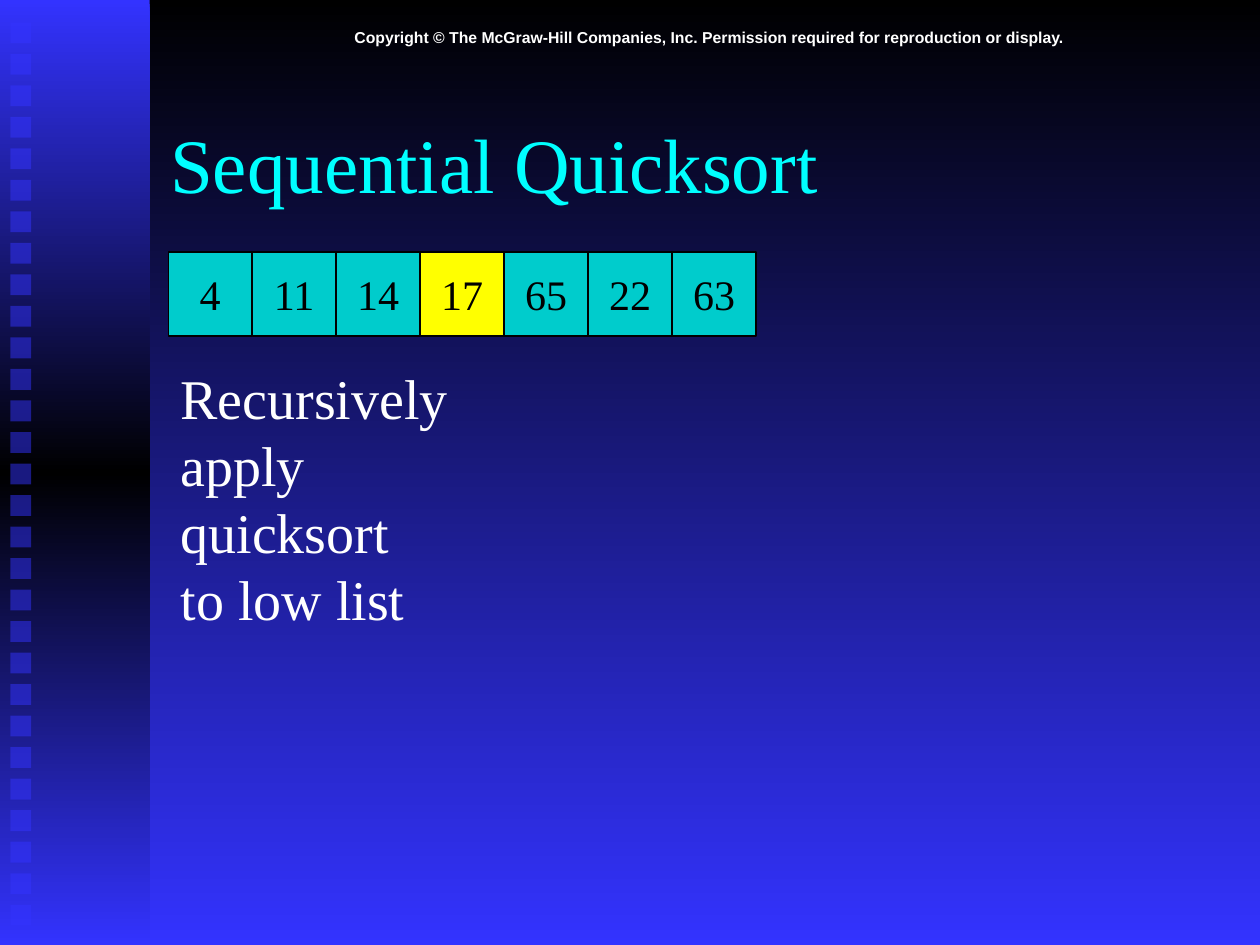
from copy import deepcopy

from pptx import Presentation
from pptx.dml.color import RGBColor
from pptx.enum.shapes import MSO_SHAPE
from pptx.enum.text import MSO_ANCHOR, PP_ALIGN
from pptx.oxml.ns import qn
from pptx.util import Cm, Pt

RECT = MSO_SHAPE.RECTANGLE
TOP, MIDDLE = MSO_ANCHOR.TOP, MSO_ANCHOR.MIDDLE
LEFT, CENTER = PP_ALIGN.LEFT, PP_ALIGN.CENTER

BLACK = RGBColor(0x00, 0x00, 0x00)
WHITE = RGBColor(0xFF, 0xFF, 0xFF)
BLUE = RGBColor(0x33, 0x33, 0xFF)
CYAN = RGBColor(0x00, 0xFF, 0xFF)
TEAL = RGBColor(0x00, 0xCC, 0xCC)
YELLOW = RGBColor(0xFF, 0xFF, 0x00)
SERIF, SANS = "Times New Roman", "Arial"

NOTICE = ("Copyright © The McGraw-Hill Companies, Inc. "
          "Permission required for reproduction or display.")
TITLE = "Sequential Quicksort"
STEP = ["Recursively", "apply quicksort", "to low list"]
VALUES = [4, 11, 14, 17, 65, 22, 63]
PIVOT = 17

WIDTH, HEIGHT = Cm(25.4), Cm(19.05)
BAND = Cm(3.02)
DOTS, DOT = 29, Cm(0.42)
DOT_LEFT, DOT_TOP, DOT_LAST = Cm(0.21), Cm(0.45), Cm(18.24)
ROW_LEFT, ROW_TOP, ROW_WIDTH = Cm(3.39), Cm(5.08), Cm(11.85)


def grade(fill, first, last):
    """Fill with a gradient from top to bottom."""
    fill.gradient()
    fill.gradient_angle = 270
    for stop, color in zip(fill.gradient_stops, (first, last)):
        stop.color.rgb = color


def add_rect(slide, left, top, width, height):
    shape = slide.shapes.add_shape(RECT, left, top, width, height)
    shape.shadow.inherit = False
    shape.line.fill.background()
    return shape


def write(shape, lines, size, color, font=SERIF, align=LEFT,
          anchor=TOP, wrap=True, bold=False, pitch=None):
    frame = shape.text_frame
    frame.text = "\n".join(lines)
    frame.word_wrap = wrap
    frame.vertical_anchor = anchor
    for para in frame.paragraphs:
        para.alignment = align
        para.line_spacing = pitch
        for run in para.runs:
            run.font.name = font
            run.font.size = Pt(size)
            run.font.bold = bold
            run.font.color.rgb = color


def add_band(slide):
    band = add_rect(slide, 0, 0, BAND, HEIGHT)
    grade(band.fill, BLUE, BLUE)
    stops = band._element.spPr.find(qn("a:gradFill")).find(qn("a:gsLst"))
    stops.insert(1, deepcopy(stops[0]))
    stops[1].set("pos", "50000")
    band.fill.gradient_stops[1].color.rgb = BLACK

    pitch = (DOT_LAST - DOT_TOP) / (DOTS - 1)
    for i in range(DOTS):
        dot = add_rect(slide, DOT_LEFT, round(DOT_TOP + i * pitch), DOT, DOT)
        dot.fill.solid()
        dot.fill.fore_color.rgb = BLUE
        solid = dot._element.spPr.find(qn("a:solidFill"))
        alpha = solid[0].makeelement(qn("a:alpha"), {"val": "50000"})
        solid[0].append(alpha)


def add_row(slide):
    side = ROW_WIDTH // len(VALUES)
    for i, value in enumerate(VALUES):
        cell = add_rect(slide, ROW_LEFT + i * side, ROW_TOP, side, side)
        cell.fill.solid()
        cell.fill.fore_color.rgb = YELLOW if value == PIVOT else TEAL
        cell.line.color.rgb = BLACK
        cell.line.width = Pt(0.75)
        write(cell, [str(value)], 24, BLACK, align=CENTER,
              anchor=MIDDLE, wrap=False)


def main():
    prs = Presentation()
    prs.slide_width, prs.slide_height = WIDTH, HEIGHT
    slide = prs.slides.add_slide(prs.slide_layouts[6])
    grade(slide.background.fill, BLACK, BLUE)
    add_band(slide)

    add_text = slide.shapes.add_textbox
    notice = add_text(Cm(3.18), Cm(0.43), Cm(22.22), Cm(0.64))
    write(notice, [NOTICE], 9, WHITE, font=SANS, align=CENTER, bold=True)
    title = add_text(Cm(3.18), Cm(1.7), Cm(21.59), Cm(3.18))
    write(title, [TITLE], 44, CYAN, anchor=MIDDLE)
    add_row(slide)
    step = add_text(Cm(3.39), Cm(7.2), Cm(7.49), Cm(4.32))
    write(step, STEP, 32, WHITE, wrap=False, pitch=Pt(38.4))

    prs.save("out.pptx")


if __name__ == "__main__":
    main()
